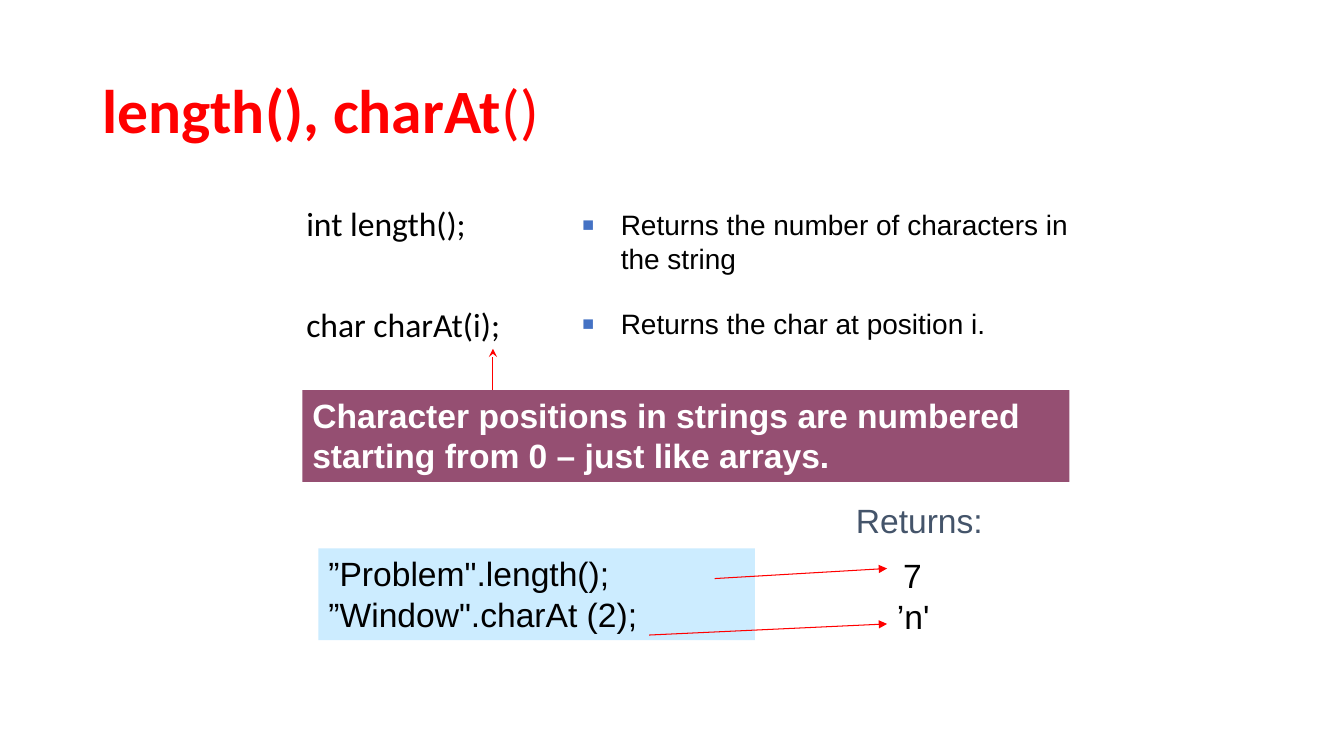
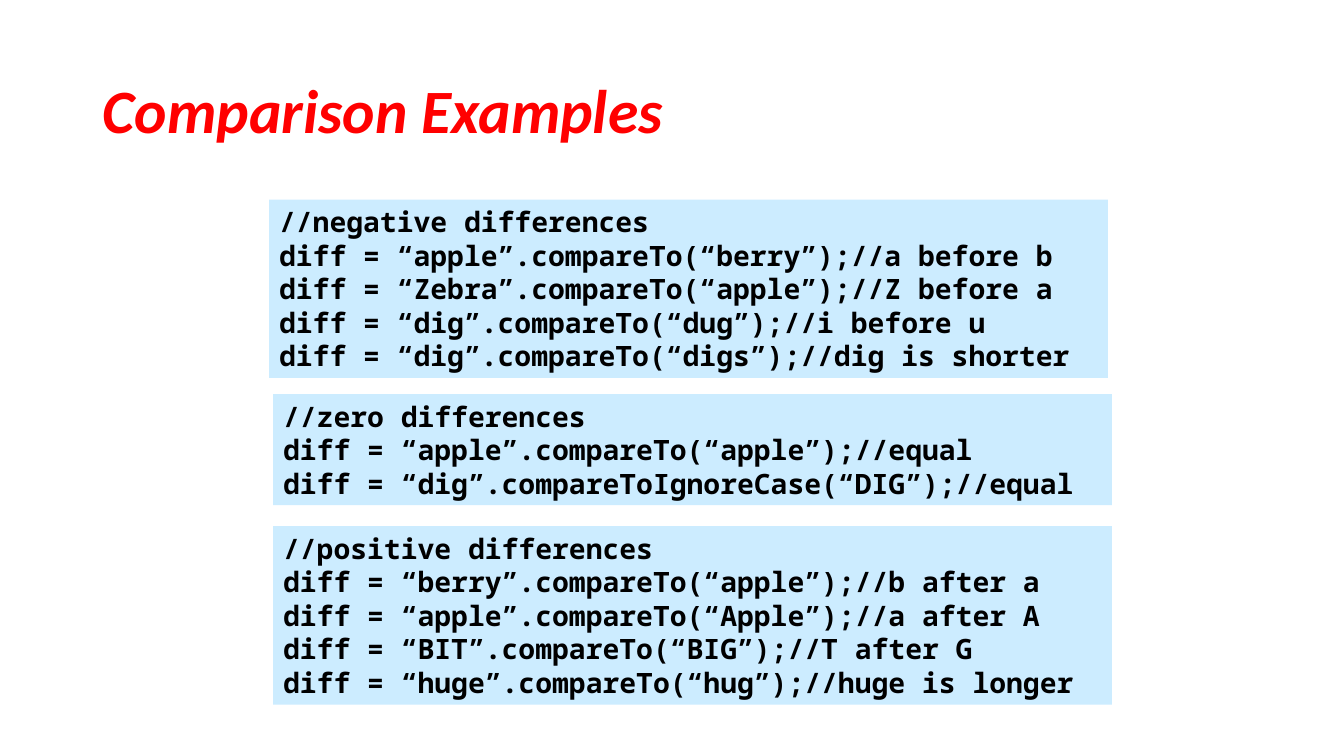
from lxml.etree import SubElement
from pptx import Presentation
from pptx.dml.color import RGBColor
from pptx.enum.shapes import MSO_CONNECTOR, MSO_SHAPE
from pptx.enum.text import MSO_ANCHOR, MSO_AUTO_SIZE, PP_ALIGN
from pptx.oxml.ns import qn
from pptx.util import Inches, Pt

# The grid has ten columns and ten rows to the inch.
GRID = 0.1
WIDTH, HEIGHT = 133.33, 75
TITLE_ONLY = 5

RED, BLACK, WHITE = "FF0000", "000000", "FFFFFF"
SLATE, BLUE, PLUM, PALE_BLUE = "44546A", "4472C4", "954F72", "CCECFF"

TITLE = {"size": Pt(44), "name": "Calibri", "bold": True, "color": RED}
SIGNATURE = {"size": Pt(24), "name": "Calibri", "color": BLACK}
BODY = {"size": Pt(20), "name": "Arial", "color": BLACK}
LARGE = {**BODY, "size": Pt(24)}
CODE = {**BODY, "name": "Noto Sans Mono", "bold": True}

CODE_LINE, CODE_PADDING = 3.34, 1
CODE_BLOCKS = [
    (26.7, 19.8, [
        "//negative differences",
        "diff = “apple”.compareTo(“berry”);//a before b",
        "diff = “Zebra”.compareTo(“apple”);//Z before a",
        "diff = “dig”.compareTo(“dug”);//i before u",
        "diff = “dig”.compareTo(“digs”);//dig is shorter",
    ]),
    (27.1, 39.1, [
        "//zero differences",
        "diff = “apple”.compareTo(“apple”);//equal",
        "diff = “dig”.compareToIgnoreCase(“DIG”);//equal",
    ]),
    (27.1, 52.2, [
        "//positive differences",
        "diff = “berry”.compareTo(“apple”);//b after a",
        "diff = “apple”.compareTo(“Apple”);//a after A",
        "diff = “BIT”.compareTo(“BIG”);//T after G",
        "diff = “huge”.compareTo(“hug”);//huge is longer",
    ]),
]


def color(value):
    return RGBColor.from_string(value)


def cells(*counts):
    """Turn counts of grid cells into lengths."""
    return [Inches(count * GRID) for count in counts]


def set_all(target, values):
    for name, value in values.items():
        setattr(target, name, value)


def add_run(paragraph, text, style):
    run = paragraph.add_run()
    run.text = text
    set_all(run.font, {name: value for name, value in style.items() if name != "color"})
    run.font.color.rgb = color(style["color"])


def set_indent(paragraph, margin, first_line):
    properties = paragraph._p.get_or_add_pPr()
    properties.set("marL", str(Inches(margin)))
    properties.set("indent", str(Inches(first_line)))


def add_square_bullet(paragraph):
    set_indent(paragraph, 0.38, -0.38)
    properties = paragraph._p.get_or_add_pPr()
    bullet_color = SubElement(properties, qn("a:buClr"))
    SubElement(bullet_color, qn("a:srgbClr"), val=BLUE)
    SubElement(properties, qn("a:buSzPct"), val="70000")
    SubElement(properties, qn("a:buFont"), typeface="Arial")
    SubElement(properties, qn("a:buChar"), char="■")


class Deck:
    """Holds the presentation, its shared style and the current slide."""

    def __init__(self):
        self.presentation = Presentation()
        width, height = cells(WIDTH, HEIGHT)
        set_all(self.presentation, {"slide_width": width, "slide_height": height})
        self.slide = None

    def add_slide(self, *title_runs):
        """Start a slide; each title run is a text and its changes to the title style."""
        layout = self.presentation.slide_layouts[TITLE_ONLY]
        self.slide = self.presentation.slides.add_slide(layout)
        title = self.slide.shapes.title
        left, top, width, height = cells(9.2, 4, 115, 14.5)
        set_all(title, {"left": left, "top": top, "width": width, "height": height})
        set_all(title.text_frame, {"vertical_anchor": MSO_ANCHOR.MIDDLE, "word_wrap": True,
                                   "auto_size": MSO_AUTO_SIZE.NONE})
        paragraph = title.text_frame.paragraphs[0]
        set_all(paragraph, {"alignment": PP_ALIGN.LEFT, "line_spacing": 0.9})
        for text, changes in title_runs:
            add_run(paragraph, text, {**TITLE, **changes})

    def fill_text(self, shape, lines, style, align=PP_ALIGN.LEFT, spacing=1.0, gap=0):
        """Set one paragraph a line, with a gap in points between them."""
        frame = shape.text_frame
        set_all(frame, {"word_wrap": True, "vertical_anchor": MSO_ANCHOR.TOP})
        for index, line in enumerate(lines):
            paragraph = frame.add_paragraph() if index else frame.paragraphs[0]
            set_all(paragraph, {"alignment": align, "line_spacing": spacing,
                                "space_before": Pt(gap if index else 0)})
            add_run(paragraph, line, style)
        return frame.paragraphs

    def text(self, box, lines, style, **layout):
        shape = self.slide.shapes.add_textbox(*cells(*box))
        return self.fill_text(shape, lines, style, **layout)

    def panel(self, box, fill, lines, style):
        shape = self.slide.shapes.add_shape(MSO_SHAPE.RECTANGLE, *cells(*box))
        shape.shadow.inherit = False
        shape.fill.solid()
        shape.fill.fore_color.rgb = color(fill)
        shape.line.fill.background()
        self.fill_text(shape, lines, style)

    def arrow(self, start, end, head="triangle"):
        connector = self.slide.shapes.add_connector(
            MSO_CONNECTOR.STRAIGHT, *cells(*start, *end))
        connector.line.color.rgb = color(RED)
        connector.line.width = Pt(0.75)
        SubElement(connector.line._get_or_add_ln(), qn("a:tailEnd"), type=head)
        SubElement(connector._element.spPr, qn("a:effectLst"))


def build_methods_slide(deck):
    deck.add_slide(("length(), charAt", {}), ("()", {"bold": False}))
    deck.text((29.4, 20.1, 23.8, 14.7), ["int length();", "char charAt(i);"],
              SIGNATURE, spacing=0.9, gap=46)
    meanings = deck.text((56.8, 20.1, 51.5, 15.3),
                         ["Returns the number of characters in the string",
                          "Returns the char at position i."], BODY, gap=23)
    for paragraph in meanings:
        add_square_bullet(paragraph)

    results = deck.text((88, 54.6, 12.2, 9.1), ["7", "’n'"], LARGE)
    set_indent(results[0], 0, 0.06)
    deck.panel((31.6, 54.4, 43.3, 9.1), PALE_BLUE,
               ["”Problem\".length();", "”Window\".charAt (2);"], LARGE)
    deck.text((83.3, 49.1, 15.8, 5), ["Returns:"], {**LARGE, "color": SLATE},
              align=PP_ALIGN.CENTER)
    deck.arrow((64.4, 63), (88, 61.9))
    deck.arrow((70.9, 57.4), (88, 56.4))

    deck.panel((30, 38.7, 76.1, 9.1), PLUM,
               ["Character positions in strings are numbered starting from 0 – just like arrays."],
               {**LARGE, "bold": True, "color": WHITE})
    deck.arrow((48.9, 38.7), (48.9, 34.6), head="stealth")


def build_comparison_slide(deck):
    deck.add_slide(("Comparison Examples", {"italic": True}))
    for left, top, lines in CODE_BLOCKS:
        height = CODE_PADDING + CODE_LINE * len(lines)
        deck.panel((left, top, 83.2, height), PALE_BLUE, lines, CODE)


def main():
    deck = Deck()
    build_methods_slide(deck)
    build_comparison_slide(deck)
    deck.presentation.save("out.pptx")


if __name__ == "__main__":
    main()
